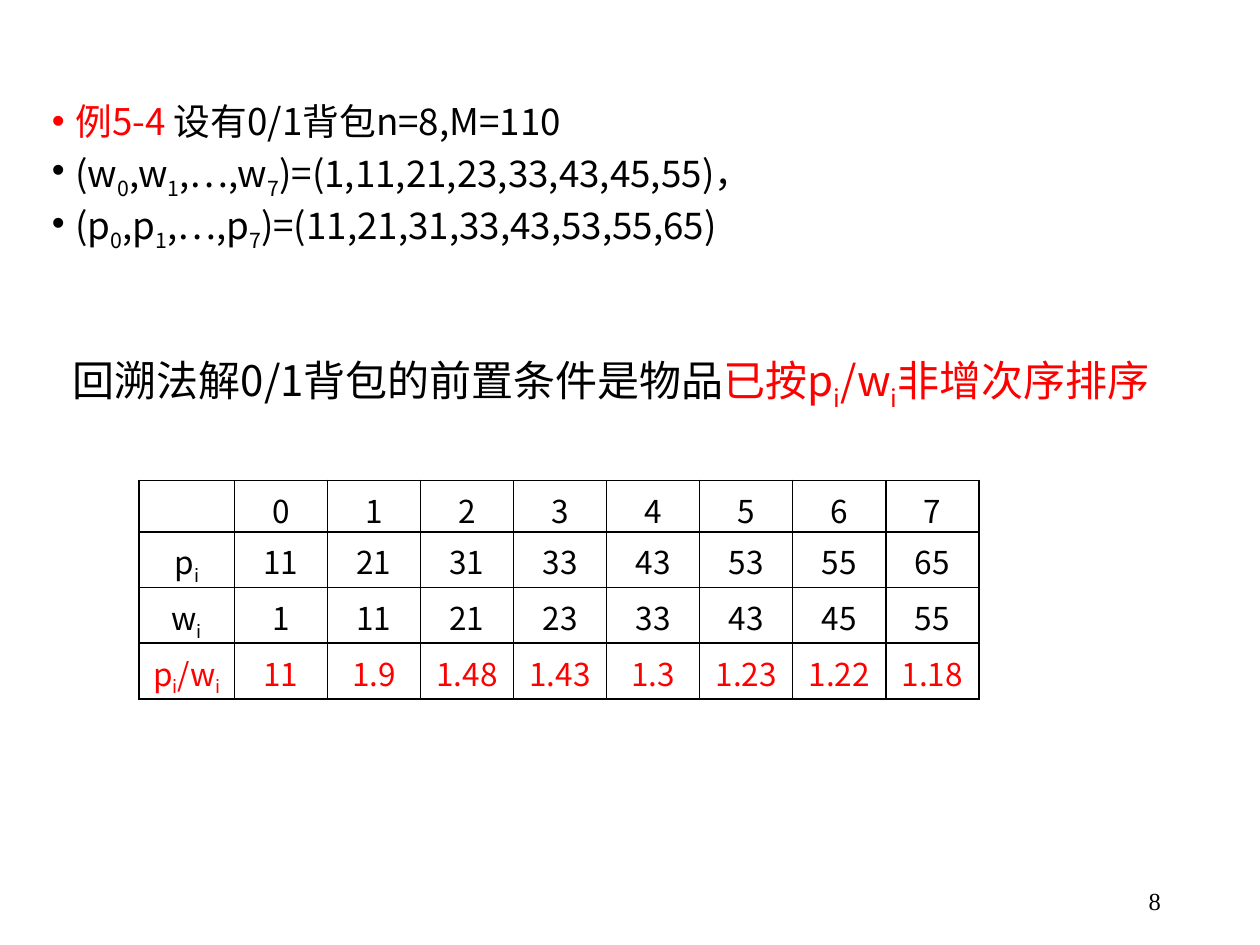
from dataclasses import dataclass

from lxml.etree import SubElement
from pptx import Presentation
from pptx.dml.color import RGBColor
from pptx.enum.text import MSO_ANCHOR, MSO_AUTO_SIZE, PP_ALIGN
from pptx.oxml.ns import qn
from pptx.slide import Slide
from pptx.text.text import TextFrame
from pptx.util import Pt

BLACK = RGBColor(0, 0, 0)
RED = RGBColor(255, 0, 0)
SANS = "Noto Sans CJK SC"
SERIF = "Times New Roman"


@dataclass
class Box:
    left: float
    top: float
    width: float
    height: float


@dataclass
class Span:
    text: str
    color: RGBColor = BLACK


@dataclass
class Row:
    label: str
    values: list[str]
    color: RGBColor = BLACK


EXAMPLE = [
    [Span("例5-4 ", RED), Span("设有0/1背包n=8,M=110")],
    [Span("(w_0,w_1,…,w_7)=(1,11,21,23,33,43,45,55)，")],
    [Span("(p_0,p_1,…,p_7)=(11,21,31,33,43,53,55,65)")],
]
CONDITION = [[Span("回溯法解0/1背包的前置条件是物品"),
              Span("已按p_i/w_i非增次序排序", RED)]]
ROWS = [
    Row("", "0 1 2 3 4 5 6 7".split()),
    Row("p_i", "11 21 31 33 43 53 55 65".split()),
    Row("w_i", "1 11 21 23 33 43 45 55".split()),
    Row("p_i/w_i", "11 1.9 1.48 1.43 1.3 1.23 1.22 1.18".split(), RED),
]


def add_run(p, text: str, size: float, font: str, color: RGBColor, subscript: bool) -> None:
    r = p.add_run()
    r.text = text
    r.font.size = Pt(size)
    r.font.name = font
    r.font.color.rgb = color
    rpr = r.font._element
    SubElement(rpr, qn("a:ea"), typeface=font)
    if subscript:
        rpr.set("baseline", "-25000")


def write(tf: TextFrame, paragraphs: list[list[Span]], *, size: float, font: str = SANS,
          align: PP_ALIGN = PP_ALIGN.LEFT, hanging: float = 0, bullet: str = "",
          line_spacing: float = 1, space_before: float = 0) -> None:
    """Fill a frame; the character after an underscore becomes a subscript."""
    for i, spans in enumerate(paragraphs):
        p = tf.add_paragraph() if i else tf.paragraphs[0]
        p.alignment = align
        p.line_spacing = line_spacing
        p.space_before = Pt(space_before if i else 0)
        ppr = p._p.get_or_add_pPr()
        ppr.set("marL", str(Pt(hanging)))
        ppr.set("indent", str(-Pt(hanging)))
        if bullet:
            SubElement(ppr, qn("a:buFont"), typeface="Arial")
            SubElement(ppr, qn("a:buChar"), char=bullet)
        for span in spans:
            first, *rest = span.text.split("_")
            if first:
                add_run(p, first, size, font, span.color, False)
            for part in rest:
                add_run(p, part[0], size, font, span.color, True)
                if part[1:]:
                    add_run(p, part[1:], size, font, span.color, False)


def add_text_frame(s: Slide, box: Box) -> TextFrame:
    sp = s.shapes.add_textbox(Pt(box.left), Pt(box.top), Pt(box.width), Pt(box.height))
    sp.text_frame.word_wrap = True
    return sp.text_frame


def add_borders(cell) -> None:
    tcpr = cell._tc.get_or_add_tcPr()
    for i, side in enumerate(("lnL", "lnR", "lnT", "lnB")):
        ln = tcpr.makeelement(qn(f"a:{side}"), {"w": str(Pt(1))})
        SubElement(SubElement(ln, qn("a:solidFill")), qn("a:srgbClr"), val=str(BLACK))
        tcpr.insert(i, ln)


def add_ratio_table(s: Slide, box: Box, rows: list[Row], label_width: float) -> None:
    columns = len(rows[0].values) + 1
    table = s.shapes.add_table(len(rows), columns, Pt(box.left), Pt(box.top),
                               Pt(box.width), Pt(box.height)).table
    table.first_row = table.horz_banding = False
    value_width = (box.width - label_width) / (columns - 1)
    for i, column in enumerate(table.columns):
        column.width = Pt(value_width if i else label_width)
    for i, row in enumerate(rows):
        table.rows[i].height = Pt(box.height / len(rows))
        for j, text in enumerate([row.label, *row.values]):
            cell = table.cell(i, j)
            cell.fill.background()
            add_borders(cell)
            write(cell.text_frame, [[Span(text, row.color)]], size=18, align=PP_ALIGN.CENTER)


def main() -> None:
    prs = Presentation()
    prs.slide_width, prs.slide_height = Pt(720), Pt(540)
    s = prs.slides.add_slide(prs.slide_layouts[6])

    tf = add_text_frame(s, Box(22.5, 57.6, 588, 103.5))
    tf.auto_size = MSO_AUTO_SIZE.TEXT_TO_FIT_SHAPE
    write(tf, EXAMPLE, size=21, hanging=13.5, bullet="•", line_spacing=0.9, space_before=7.5)

    tf = add_text_frame(s, Box(508.5, 500.4, 162, 28.8))
    tf.vertical_anchor = MSO_ANCHOR.MIDDLE
    write(tf, [[Span("8")]], size=14, font=SERIF, align=PP_ALIGN.RIGHT)

    tf = add_text_frame(s, Box(34.5, 199.5, 639.5, 39))
    write(tf, CONDITION, size=24, hanging=27, line_spacing=0.9)

    add_ratio_table(s, Box(79.5, 274.5, 480, 118), ROWS, label_width=54.4)
    prs.save("out.pptx")


if __name__ == "__main__":
    main()
